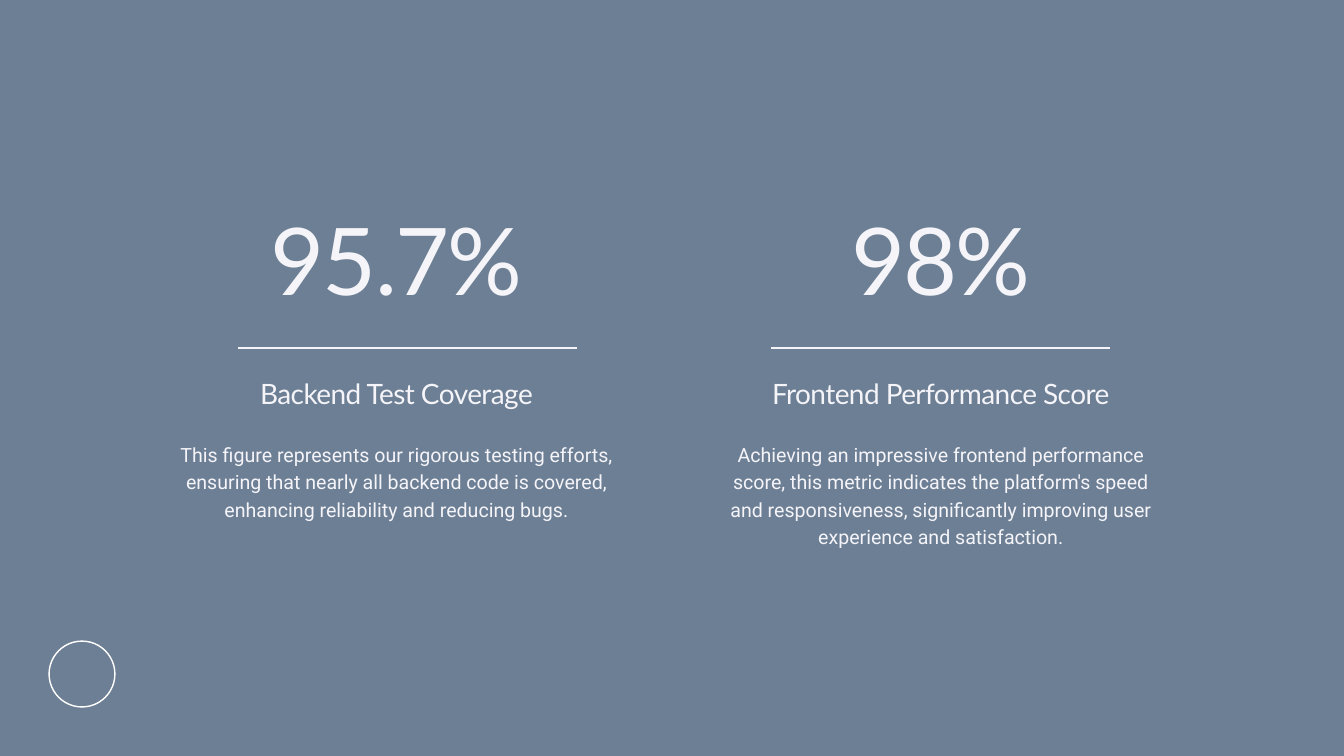
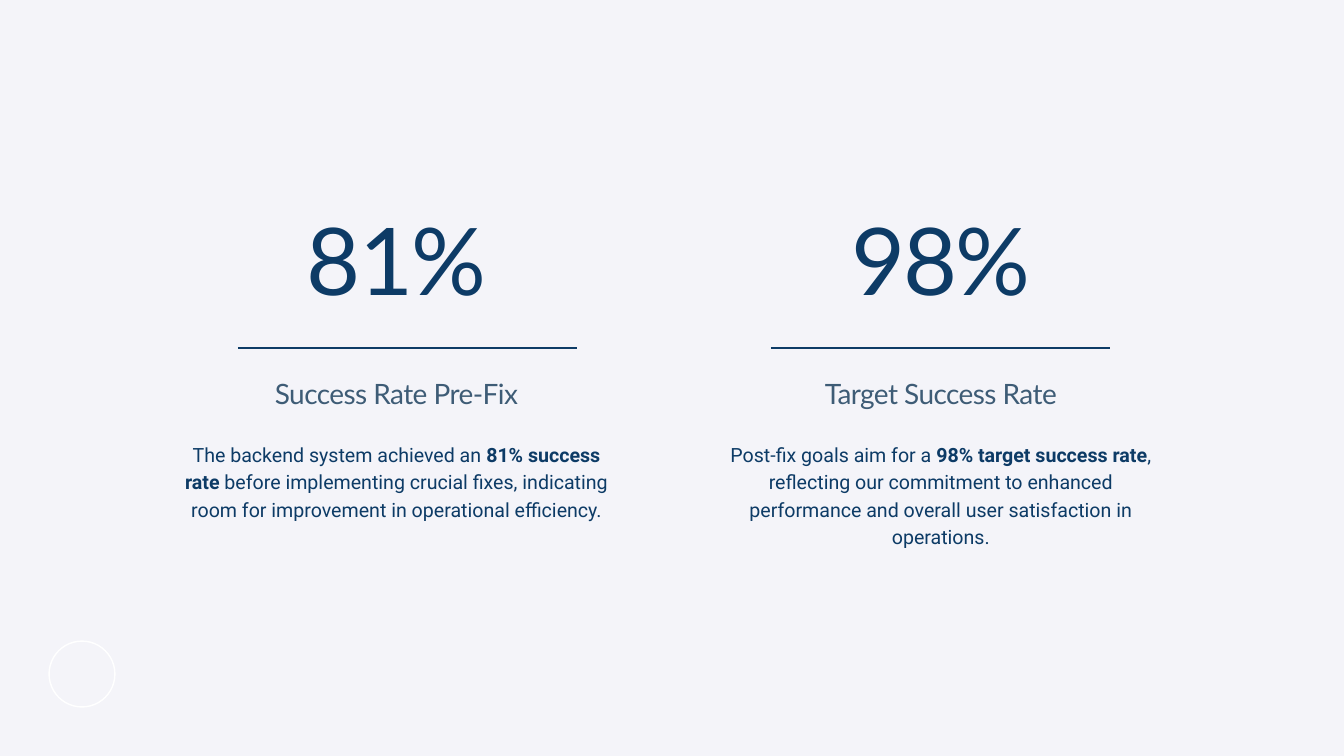
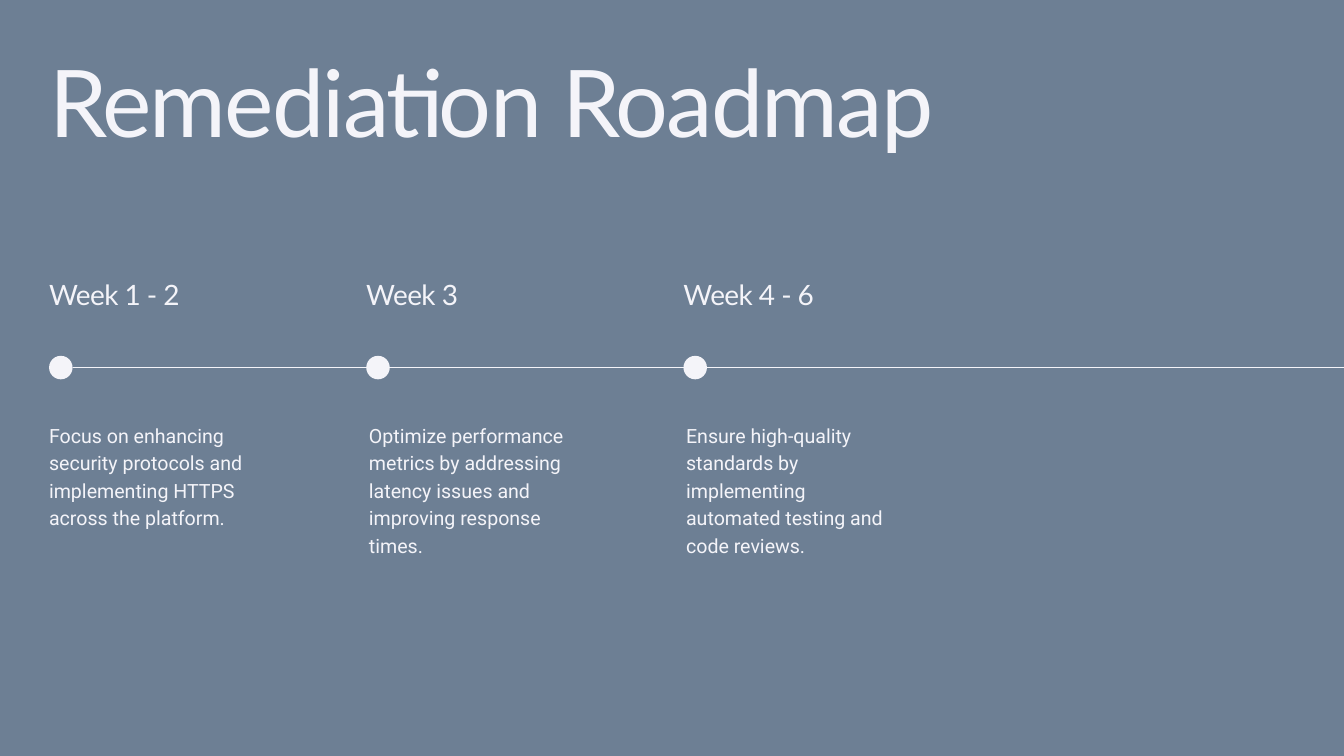
from lxml import etree
from pptx import Presentation, util as u
from pptx.dml.color import RGBColor
from pptx.enum import shapes, text as t
from pptx.oxml.ns import qn

# Shared colours, text styles and grid (inches)
SLATE, PALE, NAVY, STEEL, WHITE = "6D7F94", "F4F4F9", "0D3B66", "3E5C76", "FFFFFF"
BIG = dict(size=100, leading=100, font="Lato", tracking=-200)
HEADING = dict(size=30, leading=30, font="Lato", tracking=-60)
BODY = dict(size=21, leading=29.4, font="Roboto", tracking=0)
WIDTH, HEIGHT, MARGIN = 20, 11.25, 0.73
LINE_HEIGHT = 0.4
STROKE = u.Pt(1.5)

STAT_LEFT, STAT_STEP, STAT_WIDTH = 2.59, 8.1, 6.62
RULE_LEFT, RULE_STEP, RULE_WIDTH, RULE_TOP = 3.54, 7.93, 5.05, 5.18
RING = 0.98
WEEK_STEP, WEEK_WIDTH, DOT, AXIS = 4.72, 3.15, 0.35, 5.47


def paint(fill, colour):
    fill.solid()
    fill.fore_color.rgb = RGBColor.from_string(colour)


def write(page, words, left, top, width, height, *, colour, size, leading, font,
          tracking, align=t.PP_ALIGN.LEFT):
    """Add a text box; words between ** marks are bold."""
    box = page.shapes.add_textbox(*map(u.Inches, (left, top, width, height)))
    frame = box.text_frame
    frame.word_wrap = True
    frame.margin_left = frame.margin_right = frame.margin_top = frame.margin_bottom = 0
    para = frame.paragraphs[0]
    para.alignment, para.line_spacing = align, u.Pt(leading)
    for index, part in enumerate(words.split("**")):
        span = para.add_run()
        span.text = part
        span.font.name, span.font.size, span.font.bold = font, u.Pt(size), index % 2 == 1
        paint(span.font.fill, colour)
        if tracking:
            span.font._element.set("spc", str(tracking))


deck = Presentation()
deck.slide_width, deck.slide_height = u.Inches(WIDTH), u.Inches(HEIGHT)
blank = deck.slide_layouts[6]

# Slides 1 and 2: two key figures each, as (figure, heading, body, body lines)
stat_pages = [
    (SLATE, PALE, PALE, [
        ("95.7%", "Backend Test Coverage",
         "This figure represents our rigorous testing efforts, ensuring that nearly all "
         "backend code is covered, enhancing reliability and reducing bugs.", 3),
        ("98%", "Frontend Performance Score",
         "Achieving an impressive frontend performance score, this metric indicates the "
         "platform's speed and responsiveness, significantly improving user experience "
         "and satisfaction.", 4),
    ]),
    (PALE, NAVY, STEEL, [
        ("81%", "Success Rate Pre-Fix",
         "The backend system achieved an **81% success rate** before implementing crucial "
         "fixes, indicating room for improvement in operational efficiency.", 3),
        ("98%", "Target Success Rate",
         "Post-fix goals aim for a **98% target success rate**, reflecting our commitment "
         "to enhanced performance and overall user satisfaction in operations.", 4),
    ]),
]
for ground, ink, heading_ink, stats in stat_pages:
    page = deck.slides.add_slide(blank)
    paint(page.background.fill, ground)

    for column, (figure, heading, body, lines) in enumerate(stats):
        left = STAT_LEFT + column * STAT_STEP
        for words, top, height, colour, style in [
            (figure, 3.29, 1.45, ink, BIG),
            (heading, 5.68, 0.43, heading_ink, HEADING),
            (body, 6.53, lines * LINE_HEIGHT, ink, BODY),
        ]:
            write(page, words, left, top, STAT_WIDTH, height, colour=colour,
                  align=t.PP_ALIGN.CENTER, **style)

        start = RULE_LEFT + column * RULE_STEP
        rule = page.shapes.add_connector(
            shapes.MSO_CONNECTOR.STRAIGHT,
            *map(u.Inches, (start, RULE_TOP, start + RULE_WIDTH, RULE_TOP)))
        paint(rule.line.fill, ink)

    # Corner ring
    ring = page.shapes.add_shape(
        shapes.MSO_SHAPE.OVAL,
        *map(u.Inches, (MARGIN, HEIGHT - MARGIN - RING, RING, RING)))
    ring.shadow.inherit = False
    ring.fill.background()
    paint(ring.line.fill, WHITE)
    ring.line.width = STROKE

# Slide 3: timeline
page = deck.slides.add_slide(blank)
paint(page.background.fill, SLATE)
write(page, "Remediation Roadmap", MARGIN, 0.94, 17.3, 1.45, colour=PALE, **BIG)
axis = page.shapes.add_connector(
    shapes.MSO_CONNECTOR.STRAIGHT, *map(u.Inches, (MARGIN + DOT, AXIS, WIDTH, AXIS)))
paint(axis.line.fill, PALE)

weeks = [
    ("Week 1 - 2", "Focus on enhancing security protocols and implementing HTTPS "
     "across the platform.", 4, 0),
    ("Week 3", "Optimize performance metrics by addressing latency issues and "
     "improving response times.", 5, 0.04),
    ("Week 4 - 6", "Ensure high-quality standards by implementing automated testing "
     "and code reviews.", 5, 0.04),
]
for column, (week, task, lines, indent) in enumerate(weeks):
    left = MARGIN + column * WEEK_STEP
    dot = page.shapes.add_shape(
        shapes.MSO_SHAPE.OVAL, *map(u.Inches, (left, AXIS - DOT / 2, DOT, DOT)))
    dot.shadow.inherit = False
    paint(dot.fill, PALE)
    dot.line.fill.background()
    write(page, week, left, 4.22, WEEK_WIDTH, 0.42, colour=PALE, **HEADING)
    write(page, task, left + indent, 6.25, WEEK_WIDTH - indent, lines * LINE_HEIGHT,
          colour=PALE, **BODY)

# Every line: same width, no shadow
for page in deck.slides:
    for shape in page.shapes:
        if shape.shape_type == shapes.MSO_SHAPE_TYPE.LINE:
            shape.line.width = STROKE
            etree.SubElement(shape._element.spPr, qn("a:effectLst"))

deck.save("out.pptx")
